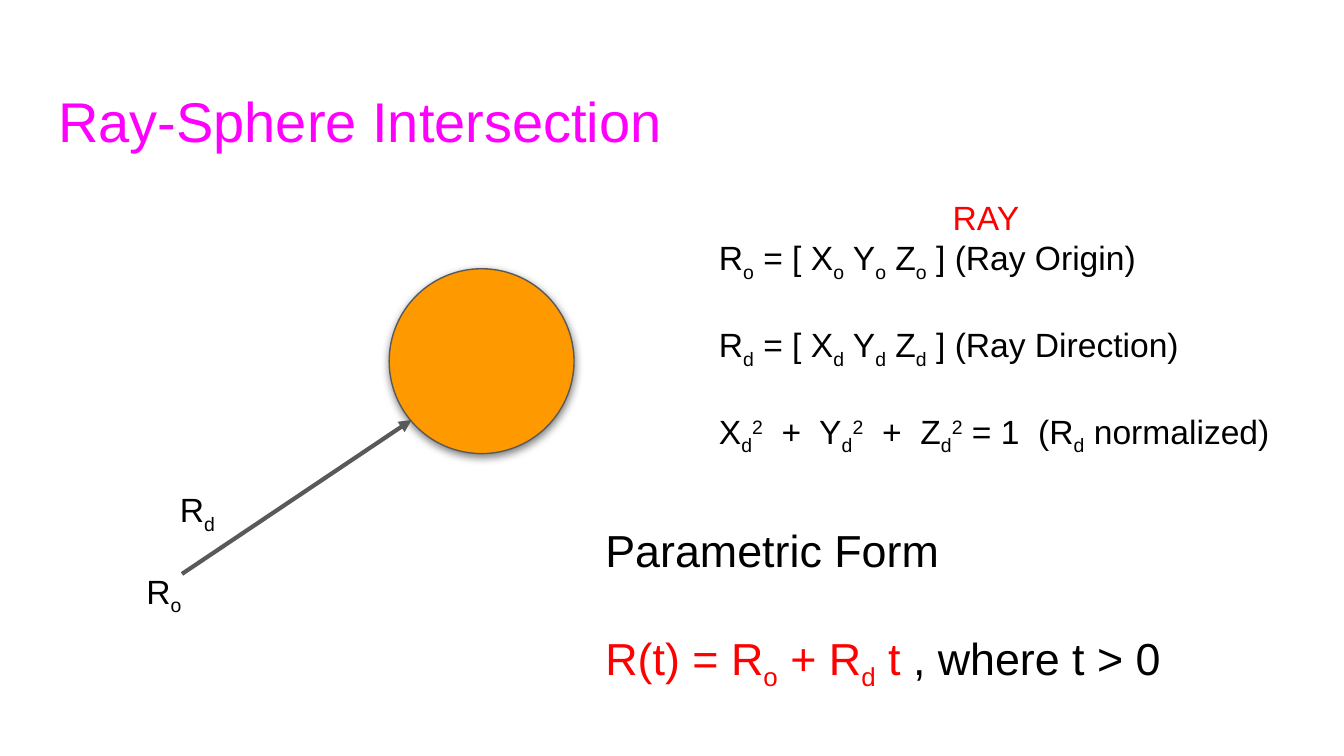
from lxml.etree import SubElement
from pptx import Presentation
from pptx.dml.color import RGBColor
from pptx.enum.shapes import MSO_CONNECTOR as Connector, MSO_SHAPE as Shape
from pptx.enum.text import MSO_ANCHOR as Anchor, MSO_AUTO_SIZE as AutoSize, PP_ALIGN as Align
from pptx.oxml.ns import qn
from pptx.util import Emu, Pt

EMU_PER_PX = 9525  # 96 px to the inch
FONT = "Arial"
INSET = Pt(7.2)
COLORS = {
    "title": "FF00FF",
    "text": "000000",
    "accent": "FF0000",
    "sphere": "FF9900",
    "outline": "595959",
    "shadow": "000000",
}
BASELINES = {"_": -25000, "^": 30000}


def px(length):
    return Emu(length * EMU_PER_PX)


def color(name):
    return RGBColor.from_string(COLORS[name])


def add_run(paragraph, text, size, color_name, baseline=None):
    run = paragraph.add_run()
    run.text = text
    run.font.name = FONT
    run.font.size = Pt(size)
    run.font.color.rgb = color(color_name)
    if baseline:
        run._r.get_or_add_rPr().set("baseline", str(baseline))


def add_formula(paragraph, text, size=18, color_name="text"):
    """Add text in which _ lowers and ^ raises the one character that follows."""
    for piece in text.replace("_", "|_").replace("^", "|^").split("|"):
        baseline = BASELINES.get(piece[:1])
        if baseline:
            add_run(paragraph, piece[1], size, color_name, baseline)
            piece = piece[2:]
        if piece:
            add_run(paragraph, piece, size, color_name)


def format_frame(frame):
    frame.word_wrap = True
    frame.auto_size = AutoSize.NONE
    frame.vertical_anchor = Anchor.TOP
    frame.margin_left = frame.margin_right = INSET
    frame.margin_top = frame.margin_bottom = INSET


def add_text_frame(slide, left, top, width, height):
    box = slide.shapes.add_textbox(px(left), px(top), px(width), px(height))
    format_frame(box.text_frame)
    return box.text_frame


def add_label(slide, text, left, top):
    frame = add_text_frame(slide, left, top, 54, 48)
    add_formula(frame.paragraphs[0], text)


def fill_title(slide, text):
    title = slide.shapes.title
    title.left, title.top, title.width, title.height = map(px, (32, 52, 771, 68))
    format_frame(title.text_frame)
    paragraph = title.text_frame.paragraphs[0]
    paragraph.alignment = Align.LEFT
    add_run(paragraph, text, 30, "title")


def add_sphere(slide, left, top, diameter):
    sphere = slide.shapes.add_shape(Shape.OVAL, px(left), px(top), px(diameter), px(diameter))
    sphere.fill.solid()
    sphere.fill.fore_color.rgb = color("sphere")
    sphere.line.color.rgb = color("outline")
    sphere.line.width = Pt(0.75)
    sphere.shadow.inherit = False
    effects = sphere._element.spPr.find(qn("a:effectLst"))
    shadow = SubElement(effects, qn("a:outerShdw"), blurRad=str(Pt(4.5)), dist=str(Pt(1.5)),
                        dir="5400000", algn="bl", rotWithShape="0")
    shade = SubElement(shadow, qn("a:srgbClr"), val=COLORS["shadow"])
    SubElement(shade, qn("a:alpha"), val="50000")


def add_arrow(slide, start, end):
    arrow = slide.shapes.add_connector(Connector.STRAIGHT, *map(px, start + end))
    arrow.line.color.rgb = color("outline")
    arrow.line.width = Pt(2.25)
    SubElement(arrow.line._get_or_add_ln(), qn("a:tailEnd"), type="triangle")
    SubElement(arrow._element.spPr, qn("a:effectLst"))


def add_ray_definition(slide):
    frame = add_text_frame(slide, 504, 131, 443, 194)
    heading = frame.paragraphs[0]
    heading._p.get_or_add_pPr().set("marL", str(px(167)))
    add_formula(heading, "RAY", color_name="accent")
    formulas = (
        "R_o = [ X_o Y_o Z_o ] (Ray Origin)",
        "R_d = [ X_d Y_d Z_d ] (Ray Direction)",
        "X_d^2  +  Y_d^2  +  Z_d^2 = 1  (R_d normalized)",
    )
    for index, formula in enumerate(formulas):
        paragraph = frame.add_paragraph()
        paragraph.space_before = Pt(22 if index else 0)
        add_formula(paragraph, formula)


def add_parametric_form(slide):
    frame = add_text_frame(slide, 423, 364, 488, 135)
    add_formula(frame.paragraphs[0], "Parametric Form", size=24)
    equation = frame.add_paragraph()
    equation.space_before = Pt(29)
    add_formula(equation, "R(t) = R_o + R_d t", size=24, color_name="accent")
    add_formula(equation, " , where t > 0", size=24)


def main():
    presentation = Presentation()
    presentation.slide_width, presentation.slide_height = px(960), px(540)
    title_only = presentation.slide_layouts[5]
    slide = presentation.slides.add_slide(title_only)
    fill_title(slide, "Ray-Sphere Intersection")
    add_sphere(slide, 278, 192, 132)
    add_arrow(slide, (130, 410), (294, 300))
    add_label(slide, "R_o", 95, 398)
    add_label(slide, "R_d", 119, 340)
    add_ray_definition(slide)
    add_parametric_form(slide)
    presentation.save("out.pptx")


if __name__ == "__main__":
    main()
